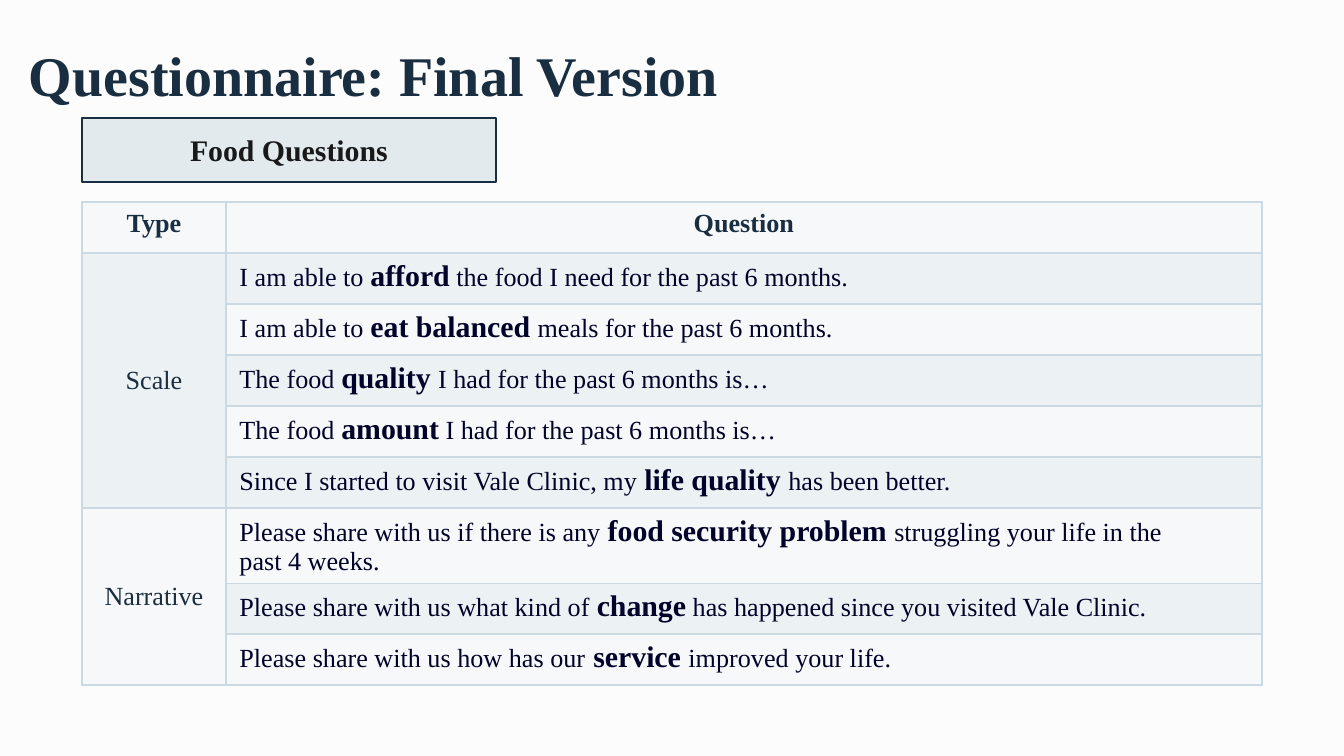
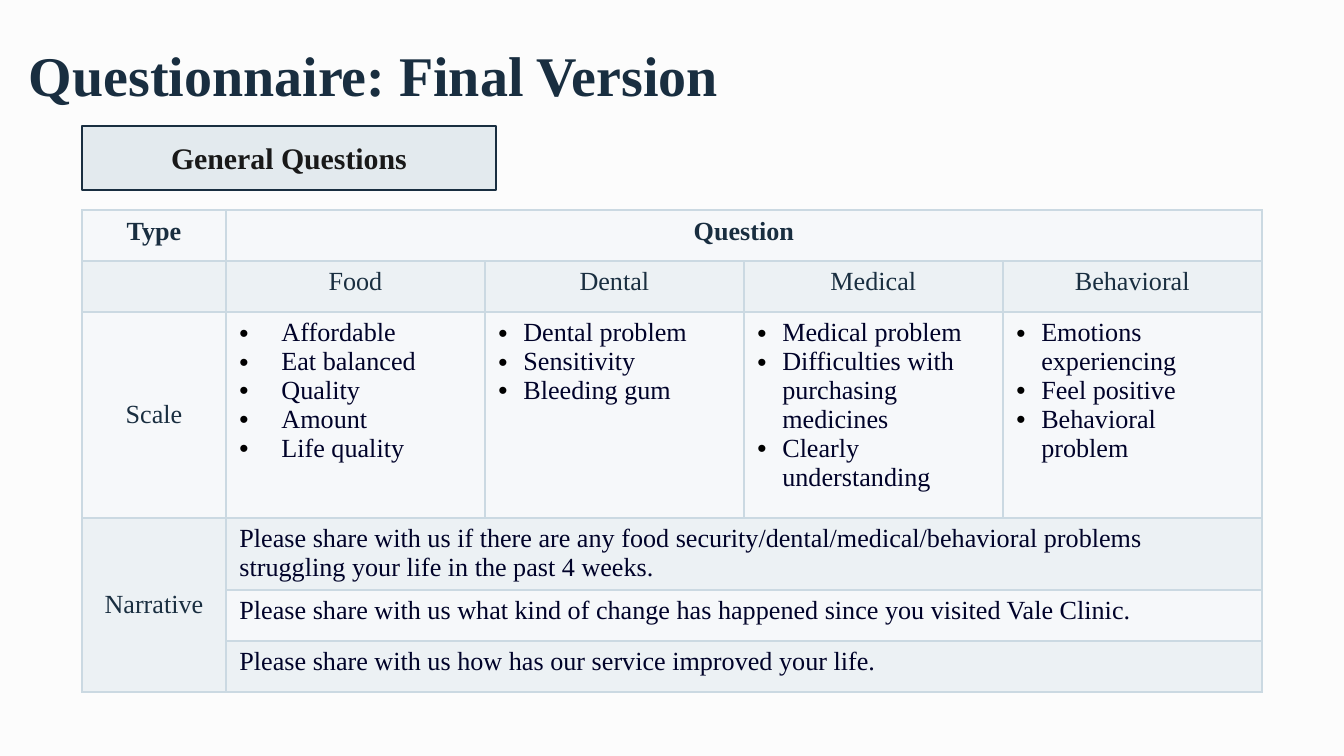
from lxml.etree import SubElement
from pptx import Presentation
from pptx.dml.color import RGBColor
from pptx.enum.shapes import MSO_SHAPE
from pptx.enum.text import MSO_ANCHOR, MSO_AUTO_SIZE, PP_ALIGN
from pptx.oxml.ns import qn
from pptx.util import Pt

# Shared look
FONT = "Times New Roman"
NAVY = RGBColor(0x19, 0x2E, 0x40)
INK = RGBColor(0x00, 0x02, 0x29)
CHARCOAL = RGBColor(0x19, 0x19, 0x19)
BLACK = RGBColor(0, 0, 0)
MIST = RGBColor(0xCB, 0xD9, 0xE2)
PAPER = RGBColor(0xFC, 0xFC, 0xFC)
BANDS = (RGBColor(0xF6, 0xF8, 0xFA), RGBColor(0xEC, 0xF1, 0xF4))
BODY_SIZE, STRONG_SIZE, TITLE_SIZE = 14, 16, 30

# Shared layout, in px
EMU_PER_PX = 914400 / 134.4
LEFT, TYPE_WIDTH, QUESTION_WIDTH = 82, 144, 1036
LABEL_WIDTH, LABEL_HEIGHT, TABLE_DROP = 414, 64, 84
ROW, TALL_ROW, LIST_ROW = 51, 72, 206

# Content: ** marks strong words, a list is bulleted,
# None continues the cell above (first column) or to the left (other columns)
TITLE = "Questionnaire: Final Version"
PAGES = [
    {
        "label": "Food Questions",
        "top": 118,
        "header_rows": 1,
        "row_heights": [ROW] * 6 + [TALL_ROW] + [ROW] * 2,
        "indents": {},
        "rows": [
            ("Type", "Question"),
            ("Scale", "I am able to **afford** the food I need for the past 6 months."),
            (None, "I am able to **eat balanced **meals for the past 6 months."),
            (None, "The food **quality **I had for the past 6 months is…"),
            (None, "The food **amount** I had for the past 6 months is…"),
            (None, "Since I started to visit Vale Clinic, my **life quality **has been better."),
            ("Narrative", "Please share with us if there is any **food security problem **"
                          "struggling your life in the\npast 4 weeks."),
            (None, "Please share with us what kind of **change** has happened "
                   "since you visited Vale Clinic."),
            (None, "Please share with us how has our** service **improved your life."),
        ],
    },
    {
        "label": "General Questions",
        "top": 126,
        "header_rows": 2,
        "row_heights": [ROW, ROW, LIST_ROW, TALL_ROW, ROW, ROW],
        "indents": {1: 42, 2: 25, 3: 25, 4: 25},
        "rows": [
            ("Type", "Question", None, None, None),
            ("", "Food", "Dental", "Medical", "Behavioral"),
            ("Scale",
             ["Affordable", "Eat balanced", "Quality", "Amount", "Life quality"],
             ["Dental problem", "Sensitivity", "Bleeding gum"],
             ["Medical problem", "Difficulties with purchasing medicines",
              "Clearly understanding"],
             ["Emotions experiencing", "Feel positive", "Behavioral problem"]),
            ("Narrative", "Please share with us if there are any food security/dental/medical/"
                          "behavioral problems struggling your life in the past 4 weeks.",
             None, None, None),
            (None, "Please share with us what kind of change has happened "
                   "since you visited Vale Clinic.", None, None, None),
            (None, "Please share with us how has our service improved your life.",
             None, None, None),
        ],
    },
]


def px(length):
    return round(length * EMU_PER_PX)


def add_span(para, text, size, color, bold=False):
    span = para.add_run()
    span.text = text
    span.font.name = FONT
    span.font.size = Pt(size)
    span.font.bold = bold
    span.font.color.rgb = color


def add_color(parent, color):
    fill = SubElement(parent, qn("a:solidFill"))
    return SubElement(fill, qn("a:srgbClr"), val=str(color))


def add_bullet(para, indent):
    properties = para._p.get_or_add_pPr()
    properties.set("marL", str(px(indent)))
    properties.set("indent", str(-px(indent)))
    bullet_color = SubElement(properties, qn("a:buClr"))
    SubElement(bullet_color, qn("a:srgbClr"), val=str(BLACK))
    SubElement(properties, qn("a:buFont"), typeface="Arial")
    SubElement(properties, qn("a:buChar"), char="•")


def paint_cell(cell, color):
    properties = cell._tc.get_or_add_tcPr()
    for side in ("a:lnL", "a:lnR", "a:lnT", "a:lnB"):
        add_color(SubElement(properties, qn(side), w=str(Pt(1))), MIST)
    cell.fill.solid()
    cell.fill.fore_color.rgb = color


def write_cell(cell, content, heading, bold, indent):
    bulleted = isinstance(content, list)
    lines = content if bulleted else content.split("\n")
    for number, line in enumerate(lines):
        para = cell.text_frame.paragraphs[0] if number == 0 else cell.text_frame.add_paragraph()
        para.alignment = PP_ALIGN.CENTER if heading else PP_ALIGN.LEFT
        if bulleted:
            add_bullet(para, indent)
        if not line:
            para._p.get_or_add_endParaRPr().set("sz", str(BODY_SIZE * 100))
            continue
        for part, text in enumerate(line.split("**")):
            strong = part % 2 == 1
            if text:
                add_span(para, text, STRONG_SIZE if strong else BODY_SIZE,
                         NAVY if heading else INK, bold or strong)


def merge_end(rows, row, column):
    """Last cell that the cell at row, column reaches."""
    if column == 0:
        while row + 1 < len(rows) and rows[row + 1][0] is None:
            row += 1
    else:
        while column + 1 < len(rows[row]) and rows[row][column + 1] is None:
            column += 1
    return row, column


def add_title(page):
    title = page.shapes.title
    title.left, title.top, title.width, title.height = map(px, (16, 10, 776, 118))
    frame = title.text_frame
    frame.auto_size = MSO_AUTO_SIZE.NONE
    frame.vertical_anchor = MSO_ANCHOR.MIDDLE
    frame.margin_left = frame.margin_right = frame.margin_top = frame.margin_bottom = px(13)
    para = frame.paragraphs[0]
    para.alignment = PP_ALIGN.LEFT
    para.line_spacing = 1.15
    add_span(para, TITLE, TITLE_SIZE, NAVY, True)


def add_label(page, text, top):
    box = page.shapes.add_shape(MSO_SHAPE.RECTANGLE, px(LEFT), px(top),
                                px(LABEL_WIDTH), px(LABEL_HEIGHT))
    box.shadow.inherit = False
    box.fill.solid()
    box.fill.fore_color.rgb = MIST
    color = box._element.spPr.find(qn("a:solidFill")).find(qn("a:srgbClr"))
    SubElement(color, qn("a:alpha"), val="50000")
    box.line.color.rgb = NAVY
    box.line.width = Pt(0.75)
    box.text_frame.vertical_anchor = MSO_ANCHOR.MIDDLE
    para = box.text_frame.paragraphs[0]
    para.alignment = PP_ALIGN.CENTER
    add_span(para, text, STRONG_SIZE, CHARCOAL, True)


def add_question_table(page, content):
    rows, heights = content["rows"], content["row_heights"]
    question_columns = len(rows[0]) - 1
    widths = [TYPE_WIDTH] + [QUESTION_WIDTH // question_columns] * question_columns
    table = page.shapes.add_table(len(rows), len(widths), px(LEFT),
                                  px(content["top"] + TABLE_DROP),
                                  px(sum(widths)), px(sum(heights))).table
    table.first_row = table.horz_banding = False
    for column, width in zip(table.columns, widths):
        column.width = px(width)
    for row, height in zip(table.rows, heights):
        row.height = px(height)

    for r, row in enumerate(rows):
        for c, text in enumerate(row):
            cell = table.cell(r, c)
            paint_cell(cell, BANDS[r % 2])
            if text is None:
                continue
            end = merge_end(rows, r, c)
            if end != (r, c):
                cell.merge(table.cell(*end))
            if c == 0 and r >= content["header_rows"]:
                cell.vertical_anchor = MSO_ANCHOR.MIDDLE
            heading = c == 0 or r < content["header_rows"]
            write_cell(cell, text, heading, r == 0, content["indents"].get(c))


def main():
    deck = Presentation()
    deck.slide_width, deck.slide_height = px(1344), px(756)
    background = deck.slide_master.background.fill
    background.solid()
    background.fore_color.rgb = PAPER
    title_only = deck.slide_layouts[5]
    for content in PAGES:
        page = deck.slides.add_slide(title_only)
        add_title(page)
        add_label(page, content["label"], content["top"])
        add_question_table(page, content)
    deck.save("out.pptx")


if __name__ == "__main__":
    main()
